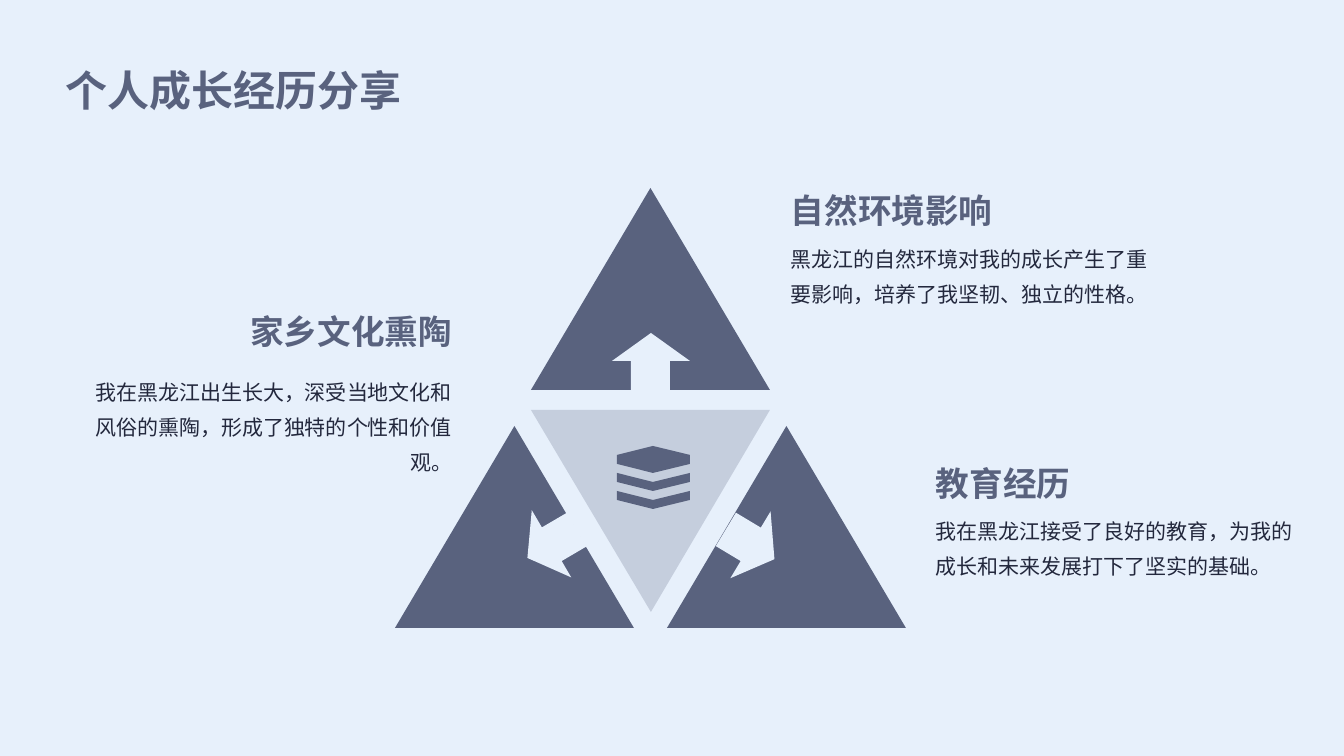
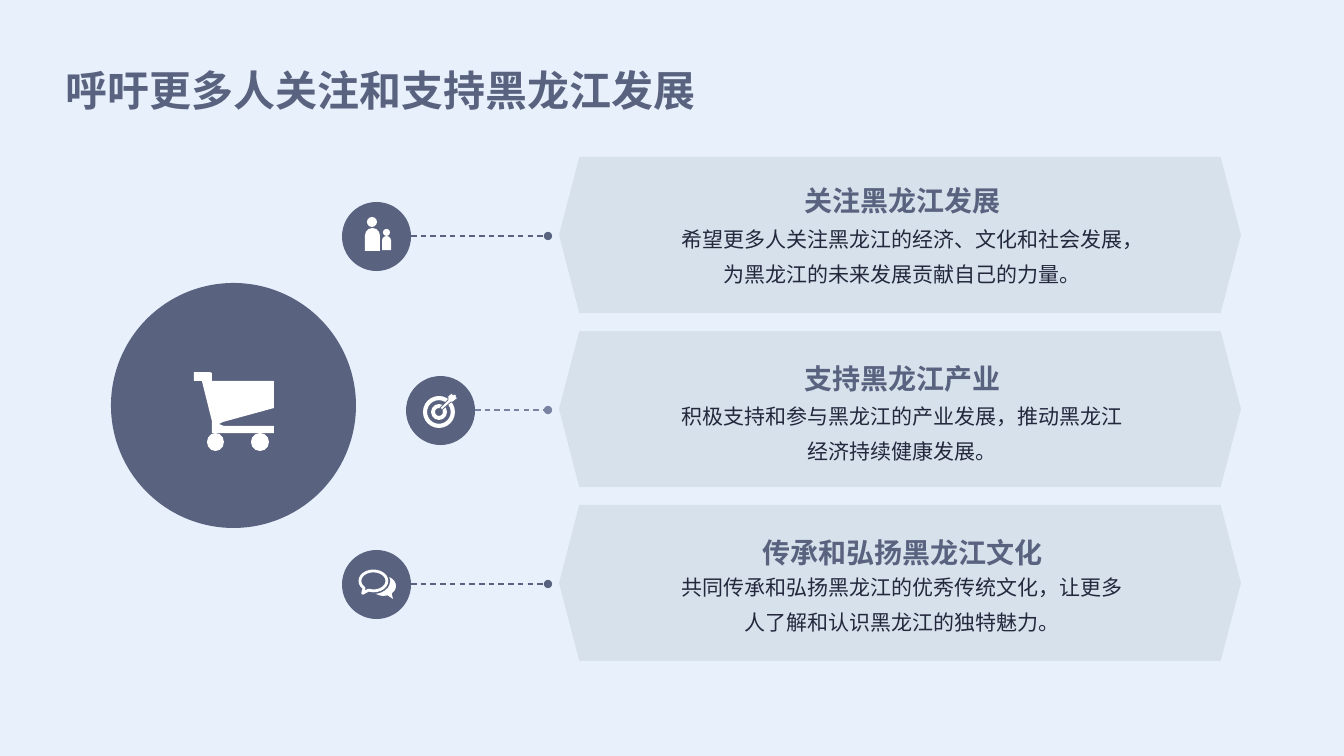
"""Build two slides on growing up in Heilongjiang and supporting its development."""
from typing import NamedTuple, Optional

from lxml.etree import SubElement
from pptx import Presentation
from pptx.dml.color import RGBColor
from pptx.enum.dml import MSO_LINE
from pptx.enum.shapes import MSO_CONNECTOR, MSO_SHAPE
from pptx.enum.text import MSO_ANCHOR, PP_ALIGN
from pptx.oxml.ns import qn
from pptx.presentation import Presentation as Deck
from pptx.shapes.autoshape import Shape
from pptx.slide import Slide
from pptx.util import Emu, Pt

PIXEL = 12192000 / 1344
FONT = "Noto Sans CJK SC"
PALE = RGBColor(0xE7, 0xF0, 0xFB)
SLATE = RGBColor(0x59, 0x62, 0x7E)
SOFT_SLATE = RGBColor(0x78, 0x82, 0xA1)
INK = RGBColor(0x23, 0x28, 0x3D)
BANNER = RGBColor(0xD7, 0xE1, 0xEB)
WHITE = RGBColor(0xFF, 0xFF, 0xFF)


class Box(NamedTuple):
    left: int
    top: int
    width: int
    height: int


class TextStyle(NamedTuple):
    size: int
    color: RGBColor
    bold: bool
    spacing: float
    anchor: MSO_ANCHOR
    inset: int


class Topic(NamedTuple):
    heading: str
    body: str
    left: int
    heading_top: int
    body_top: int
    align: PP_ALIGN


class Arrow(NamedTuple):
    center_x: int
    center_y: int
    rotation: float


class Appeal(NamedTuple):
    heading: str
    body: str
    heading_top: int
    body_top: int
    badge_left: int
    line_color: RGBColor


class IconPart(NamedTuple):
    kind: MSO_SHAPE
    box: Box
    adjustments: tuple[float, ...] = ()
    fill: RGBColor = WHITE
    outline: float = 0


Points = list[tuple[int, int]]

TITLE = TextStyle(30, SLATE, True, 1.4, MSO_ANCHOR.MIDDLE, 14)
TOPIC_HEADING = TextStyle(24, SLATE, True, 1.2, MSO_ANCHOR.BOTTOM, 14)
TOPIC_BODY = TextStyle(15, INK, False, 1.4, MSO_ANCHOR.TOP, 14)
APPEAL_HEADING = TextStyle(20, SLATE, True, 1.2, MSO_ANCHOR.MIDDLE, 10)
APPEAL_BODY = TextStyle(15, INK, False, 1.4, MSO_ANCHOR.MIDDLE, 8)

TOPICS = [
    Topic("自然环境影响", "黑龙江的自然环境对我的成长产生了重要影响，培养了我坚韧、独立的性格。",
          777, 166, 222, PP_ALIGN.LEFT),
    Topic("教育经历", "我在黑龙江接受了良好的教育，为我的成长和未来发展打下了坚实的基础。",
          922, 439, 494, PP_ALIGN.LEFT),
    Topic("家乡文化熏陶", "我在黑龙江出生长大，深受当地文化和风俗的熏陶，形成了独特的个性和价值观。",
          75, 287, 355, PP_ALIGN.RIGHT),
]
TRIANGLE_CORNERS = [(667, 426), (395, 426), (531, 188)]
ARROWS = [Arrow(651, 361, 0), Arrow(750, 544, 121), Arrow(552, 543, 239.6)]

APPEALS = [
    Appeal("关注黑龙江发展", "希望更多人关注黑龙江的经济、文化和社会发展，为黑龙江的未来发展贡献自己的力量。",
           170, 212, 342, SLATE),
    Appeal("支持黑龙江产业", "积极支持和参与黑龙江的产业发展，推动黑龙江经济持续健康发展。",
           348, 389, 406, SOFT_SLATE),
    Appeal("传承和弘扬黑龙江文化", "共同传承和弘扬黑龙江的优秀传统文化，让更多人了解和认识黑龙江的独特魅力。",
           522, 560, 342, SLATE),
]
BANNER_TOP, BANNER_HEIGHT, BANNER_STEP = 157, 156, 174
BADGE_SIZE = 69

ICON_PARTS = [
    IconPart(MSO_SHAPE.OVAL, Box(367, 217, 10, 10)),
    IconPart(MSO_SHAPE.ROUND_2_SAME_RECTANGLE, Box(365, 228, 15, 23), (0.5, 0)),
    IconPart(MSO_SHAPE.OVAL, Box(383, 229, 7, 7)),
    IconPart(MSO_SHAPE.ROUND_2_SAME_RECTANGLE, Box(382, 236, 9, 14), (0.5, 0)),
    IconPart(MSO_SHAPE.DONUT, Box(423, 396, 32, 32), (0.13,)),
    IconPart(MSO_SHAPE.DONUT, Box(431, 404, 16, 16), (0.25,)),
    IconPart(MSO_SHAPE.OVAL_CALLOUT, Box(371, 576, 25, 20), (0.38, 0.65)),
    IconPart(MSO_SHAPE.OVAL, Box(356, 568, 34, 26), (), SLATE),
    IconPart(MSO_SHAPE.OVAL_CALLOUT, Box(360, 571, 27, 20), (-0.4, 0.62), SLATE, 2),
    IconPart(MSO_SHAPE.OVAL, Box(207, 433, 17, 18)),
    IconPart(MSO_SHAPE.OVAL, Box(251, 433, 18, 18)),
]
DART = [(456, 397), (457, 396), (455, 394), (453, 395), (452, 393), (448, 396), (448, 400),
        (440, 408), (442, 410), (451, 402), (453, 402), (458, 398)]
CART = [(194, 372), (210, 372), (212, 373), (212, 381), (274, 381), (274, 408), (223, 422),
        (219, 424), (224, 426), (274, 426), (274, 433), (212, 433), (212, 421), (202, 381),
        (194, 381)]


def px(length: float) -> Emu:
    return Emu(round(length * PIXEL))


def paint(shape: Shape, fill: RGBColor, outline: float = 0,
          outline_color: RGBColor = WHITE) -> Shape:
    shape.shadow.inherit = False
    shape.fill.solid()
    shape.fill.fore_color.rgb = fill
    if outline:
        shape.line.color.rgb = outline_color
        shape.line.width = Pt(outline)
    else:
        shape.line.fill.background()
    return shape


def add_preset(slide: Slide, kind: MSO_SHAPE, box: Box, fill: RGBColor,
               adjustments: tuple[float, ...] = (), outline: float = 0) -> Shape:
    shape = slide.shapes.add_shape(kind, *map(px, box))
    for index, value in enumerate(adjustments):
        shape.adjustments[index] = value
    return paint(shape, fill, outline)


def add_outline(slide: Slide, contours: list[Points], fill: RGBColor) -> Shape:
    first, *others = contours
    builder = slide.shapes.build_freeform(*first[0], scale=PIXEL)
    builder.add_line_segments(first[1:], close=True)
    for contour in others:
        builder.move_to(*contour[0])
        builder.add_line_segments(contour[1:], close=True)
    return paint(builder.convert_to_shape(), fill)


def add_text(slide: Slide, text: str, box: Box, style: TextStyle,
             align: PP_ALIGN = PP_ALIGN.LEFT) -> None:
    frame = slide.shapes.add_textbox(*map(px, box)).text_frame
    frame.word_wrap = True
    frame.vertical_anchor = style.anchor
    frame.margin_left = frame.margin_top = frame.margin_bottom = px(style.inset)
    frame.margin_right = px(style.inset // 2)
    para = frame.paragraphs[0]
    para.text = text
    para.alignment = align
    para.line_spacing = style.spacing
    para.font.size = Pt(style.size)
    para.font.bold = style.bold
    para.font.color.rgb = style.color
    para.font.name = FONT
    defaults = para._p.get_or_add_pPr().find(qn("a:defRPr"))
    SubElement(defaults, qn("a:ea")).set("typeface", FONT)


def add_leader(slide: Slide, start: int, end: int, level: int, color: RGBColor) -> None:
    leader = slide.shapes.add_connector(
        MSO_CONNECTOR.STRAIGHT, px(start), px(level), px(end), px(level))
    leader.line.color.rgb = color
    leader.line.width = Pt(1)
    leader.line.dash_style = MSO_LINE.DASH
    properties = leader._element.spPr
    SubElement(properties.find(qn("a:ln")), qn("a:tailEnd")).set("type", "oval")
    SubElement(properties, qn("a:effectLst"))


def add_page(deck: Deck, title: str) -> Slide:
    page = deck.slides.add_slide(deck.slide_layouts[6])
    add_text(page, title, Box(52, 29, 1239, 101), TITLE)
    return page


def add_direction_arrow(slide: Slide, arrow: Arrow) -> None:
    x, y = arrow.center_x, arrow.center_y
    points = [(x, y - 28), (x - 39, y), (x - 20, y), (x - 20, y + 29),
              (x + 19, y + 29), (x + 19, y), (x + 39, y)]
    add_outline(slide, [points], PALE).rotation = arrow.rotation


def add_layers_icon(slide: Slide) -> None:
    left, middle, right = 617, 653, 690
    contours = [[(left, 455), (middle, 446), (right, 455), (right, 464), (middle, 473), (left, 464)]]
    for top in (473, 491):
        contours.append([(left, top), (middle, top + 9), (right, top),
                         (right, top + 9), (middle, top + 18), (left, top + 9)])
    add_outline(slide, contours, SLATE)


def build_growth_page(deck: Deck) -> None:
    page = add_page(deck, "个人成长经历分享")
    center = add_outline(page, [[(531, 410), (651, 612), (770, 410)]], SLATE)
    color = center._element.spPr.find(qn("a:solidFill")).find(qn("a:srgbClr"))
    SubElement(color, qn("a:alpha")).set("val", "24000")
    for left, top in TRIANGLE_CORNERS:
        add_preset(page, MSO_SHAPE.ISOSCELES_TRIANGLE, Box(left, top, 239, 202), SLATE)
    for arrow in ARROWS:
        add_direction_arrow(page, arrow)
    for topic in TOPICS:
        add_text(page, topic.heading, Box(topic.left, topic.heading_top, 384, 78),
                 TOPIC_HEADING, topic.align)
        add_text(page, topic.body, Box(topic.left, topic.body_top, 384, 133),
                 TOPIC_BODY, topic.align)
    add_layers_icon(page)


def build_appeal_page(deck: Deck) -> None:
    page = add_page(deck, "呼吁更多人关注和支持黑龙江发展")
    add_preset(page, MSO_SHAPE.OVAL, Box(111, 283, 245, 245), SLATE)
    for index, appeal in enumerate(APPEALS):
        top = BANNER_TOP + index * BANNER_STEP
        level = top + BANNER_HEIGHT // 2 + 1
        add_preset(page, MSO_SHAPE.HEXAGON, Box(559, top, 682, BANNER_HEIGHT), BANNER, (0.13,))
        add_leader(page, appeal.badge_left + BADGE_SIZE, 548, level, appeal.line_color)
        add_preset(page, MSO_SHAPE.OVAL,
                   Box(appeal.badge_left, level - BADGE_SIZE // 2, BADGE_SIZE, BADGE_SIZE), SLATE)
        add_text(page, appeal.body, Box(668, appeal.body_top, 464, 79),
                 APPEAL_BODY, PP_ALIGN.CENTER)
        add_text(page, appeal.heading, Box(737, appeal.heading_top, 326, 53),
                 APPEAL_HEADING, PP_ALIGN.CENTER)
    for part in ICON_PARTS:
        add_preset(page, part.kind, part.box, part.fill, part.adjustments, part.outline)
    paint(add_outline(page, [DART], WHITE), WHITE, 0.5, SLATE)
    add_outline(page, [CART], WHITE)


def main() -> None:
    deck = Presentation()
    deck.slide_width, deck.slide_height = px(1344), px(756)
    background = deck.slide_master.background.fill
    background.solid()
    background.fore_color.rgb = PALE
    build_growth_page(deck)
    build_appeal_page(deck)
    deck.save("out.pptx")


if __name__ == "__main__":
    main()
